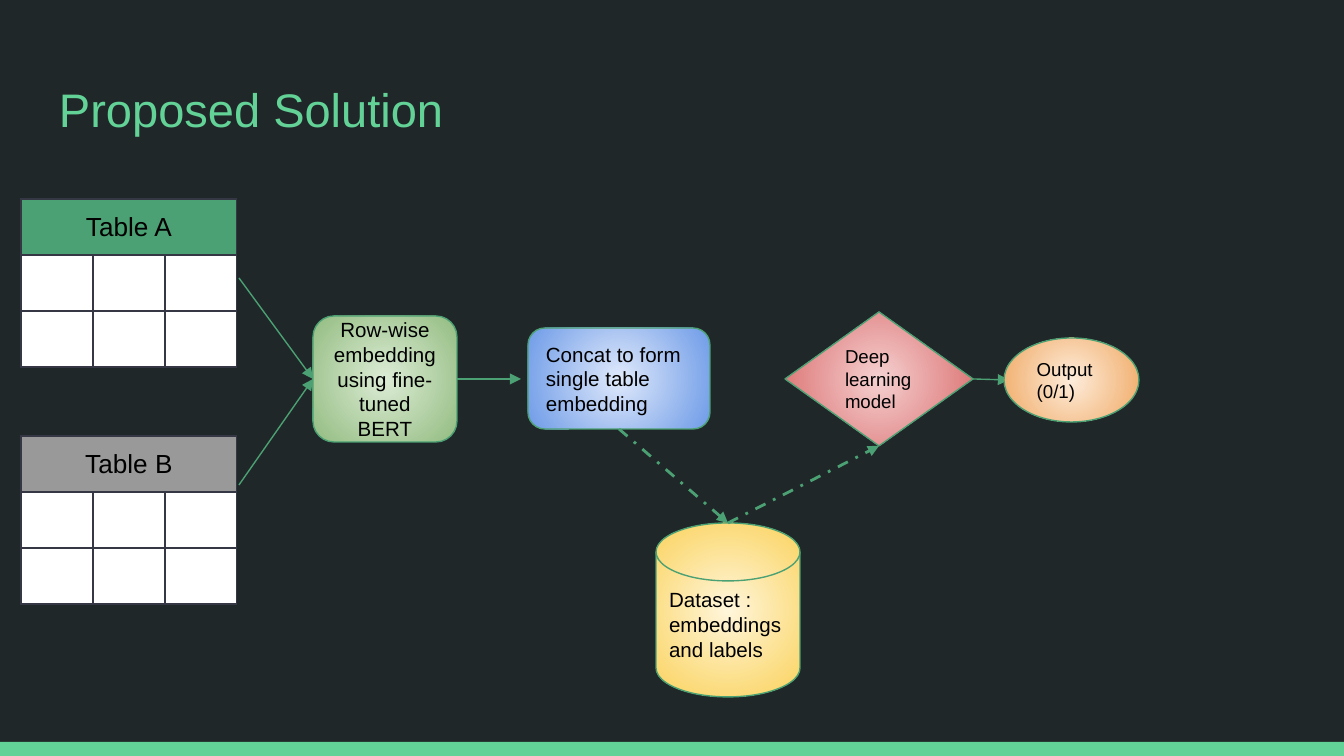
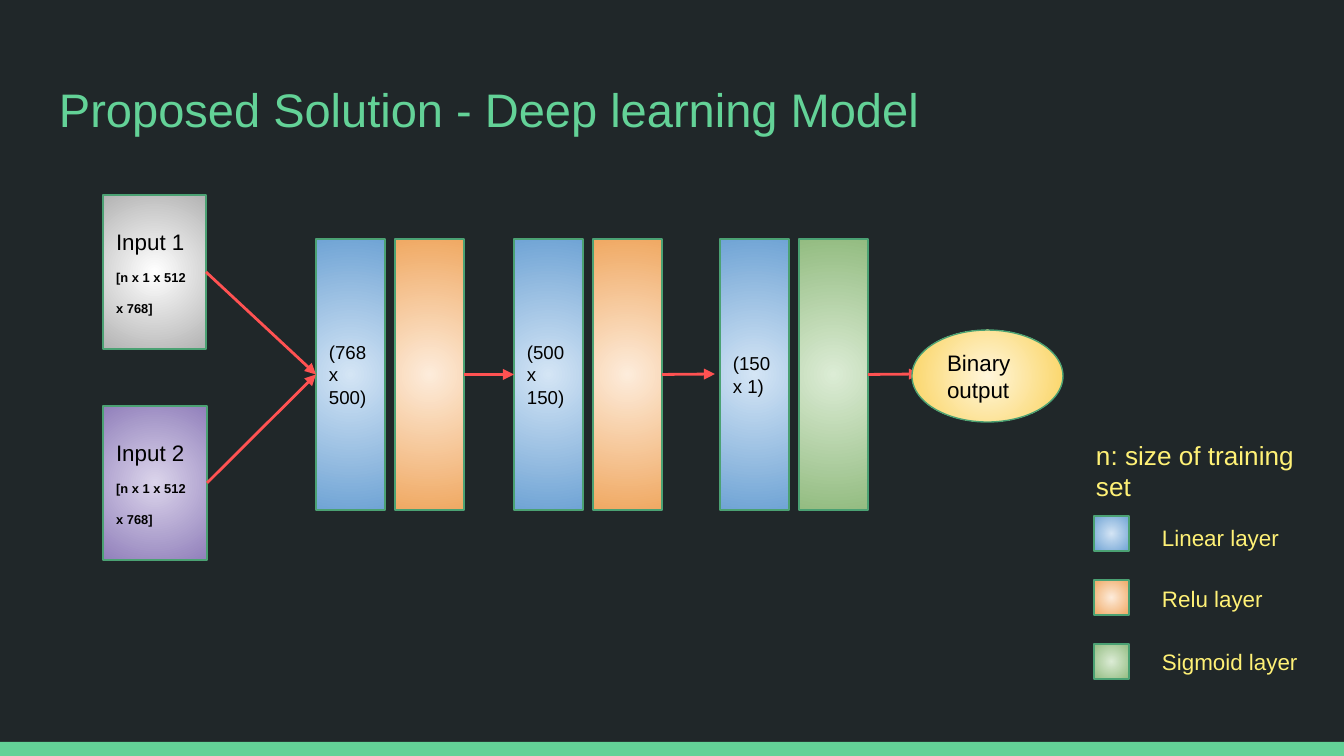
import lxml.etree
import pptx
import pptx.dml.color
import pptx.enum.dml
import pptx.enum.shapes
import pptx.enum.text
import pptx.oxml
import pptx.oxml.ns
import pptx.util

SHAPE = pptx.enum.shapes.MSO_SHAPE
ANCHOR = pptx.enum.text.MSO_ANCHOR
ALIGN = pptx.enum.text.PP_ALIGN
DASH_DOT = pptx.enum.dml.MSO_LINE.DASH_DOT
TOP, LEFT, BOTTOM, RIGHT = range(4)

# Shared look
FONT = "Arial"
BACKGROUND, ACCENT, OUTLINE, GRID = "202729", "63D297", "4BA173", "353744"
BLACK, WHITE, RED, YELLOW = "000000", "FFFFFF", "FF5252", "FFF176"
WIDTH, HEIGHT, BAND_TOP, INSET = 1344, 756, 742, 13

# Gradients: centre colour, edge colour
GREEN = ("DCECD5", "93BC81")
BLUE = ("DFE9FB", "6E9BE7")
SKY = ("D4E5F5", "70A4D5")
PINK = ("F5D0D0", "D96868")
ORANGE = ("FDECDB", "F0A963")
GOLD = ("FFF6DB", "FAD25C")
GREY = ("FFFFFF", "B3B3B3")
PURPLE = ("DBD4EB", "9180BB")

# Slide 1: input tables, pipeline steps and arrows
TABLES = [("Table A", 199, OUTLINE), ("Table B", 436, "999999")]
TABLE_LEFT, TABLE_CELL = 21, (72, 56)
STEPS = {
    "embed": (SHAPE.ROUNDED_RECTANGLE, (313, 316, 144, 126), GREEN,
              "Row-wise embedding using fine-tuned BERT", 11, ALIGN.CENTER),
    "concat": (SHAPE.FLOWCHART_ALTERNATE_PROCESS, (528, 328, 182, 101), BLUE,
               "Concat to form single table embedding", 11, ALIGN.LEFT),
    "model": (SHAPE.DIAMOND, (785, 312, 188, 134), PINK,
              "Deep learning model", 10, ALIGN.LEFT),
    "dataset": (SHAPE.FLOWCHART_MAGNETIC_DISK, (656, 523, 144, 174), GOLD,
                "Dataset : embeddings and labels", 11, ALIGN.LEFT),
}
STEP_ARROWS = [
    ((239, 278), ("embed", LEFT)),
    ((239, 485), ("embed", LEFT)),
    (("embed", RIGHT), (521, 379)),
    (("model", RIGHT), (1009, 380)),
]
DATASET_TOP = (728, 523)
DATA_ARROWS = [(("concat", BOTTOM), DATASET_TOP), (DATASET_TOP, ("model", BOTTOM))]
STEP_OUTPUT = (1004, 338, 135, 84)

# Slide 2: inputs, layer pairs, arrows and legend
INPUTS = [("Input 1", (103, 195, 103, 154), GREY), ("Input 2", (103, 406, 104, 154), PURPLE)]
INPUT_SIZE = "[n x 1 x 512 x 768]"
PAIRS = [(316, "(768 x 500)", ORANGE), (514, "(500 x 150)", ORANGE), (720, "(150 x 1)", GREEN)]
LAYER_TOP, LAYER_WIDTH, LAYER_HEIGHT, LAYER_STEP = 239, 69, 271, 79
LAYER_ARROWS = [
    (("Input 1", RIGHT), ("linear 0", LEFT)),
    (("Input 2", RIGHT), ("linear 0", LEFT)),
    (("active 0", RIGHT), ("linear 1", LEFT)),
    (("active 1", RIGHT), (715, 374)),
    (("active 2", RIGHT), (920, 374)),
]
BINARY_OUTPUT = (912, 330, 151, 92)
NOTE = ("n: size of training set", (1083, 426, 226, 90))
LEGEND = [("Linear layer", SKY, 511), ("Relu layer", ORANGE, 572), ("Sigmoid layer", GREEN, 635)]
SWATCH_LEFT, SWATCH_TOP, SWATCH_STEP, SWATCH_SIDE = 1094, 516, 64, 35


def px(length):
    return round(length * 914400 / 134.4)


def color(value):
    return pptx.dml.color.RGBColor.from_string(value)


def write(frame, text, size=12, fill=BLACK, align=ALIGN.LEFT, anchor=ANCHOR.TOP, subscript=None):
    """Each line of text is a paragraph; subscript adds a bold lowered one."""
    frame.word_wrap = True
    frame.vertical_anchor = anchor
    frame.margin_left = frame.margin_right = px(INSET)
    frame.margin_top = frame.margin_bottom = px(INSET)
    lines = text.split("\n") + ([subscript] if subscript else [])
    for i, line in enumerate(lines):
        paragraph = frame.paragraphs[0] if i == 0 else frame.add_paragraph()
        paragraph.alignment = align
        run = paragraph.add_run()
        run.text = line
        run.font.name, run.font.size = FONT, pptx.util.Pt(size)
        run.font.color.rgb = color(fill)
        if line == subscript:
            run.font.bold = True
            run._r.get_or_add_rPr().set("baseline", "-25000")


def add_text(slide, text, box, **style):
    write(slide.shapes.add_textbox(*map(px, box)).text_frame, text, **style)


def add_box(slide, kind, box, gradient, text="", **style):
    shape = slide.shapes.add_shape(kind, *map(px, box))
    shape.shadow.inherit = False
    shape.line.color.rgb = color(OUTLINE)
    shape.line.width = pptx.util.Pt(0.75)
    shape.fill.gradient()
    for stop, value in zip(shape.fill.gradient_stops, gradient):
        stop.color.rgb = color(value)
    # Turn the linear gradient into a radial one
    linear = shape._element.spPr.find(".//" + pptx.oxml.ns.qn("a:lin"))
    linear.getparent().replace(linear, pptx.oxml.parse_xml(
        f'<a:path {pptx.oxml.ns.nsdecls("a")} path="circle">'
        '<a:fillToRect l="50000" t="50000" r="50000" b="50000"/></a:path>'))
    if text:
        write(shape.text_frame, text, anchor=ANCHOR.MIDDLE, **style)
    return shape


def add_arrow(slide, parts, start, end, stroke=OUTLINE, width=0.75, dash=None):
    """An end is either a point or (part name, side)."""
    joined = [isinstance(place[0], str) for place in (start, end)]
    begin_xy = (0, 0) if joined[0] else start
    end_xy = (0, 0) if joined[1] else end
    arrow = slide.shapes.add_connector(
        pptx.enum.shapes.MSO_CONNECTOR.STRAIGHT, *map(px, begin_xy + end_xy))
    if joined[0]:
        arrow.begin_connect(parts[start[0]], start[1])
    if joined[1]:
        arrow.end_connect(parts[end[0]], end[1])
    arrow.line.color.rgb = color(stroke)
    arrow.line.width = pptx.util.Pt(width)
    if dash:
        arrow.line.dash_style = dash
    qn = pptx.oxml.ns.qn
    lxml.etree.SubElement(arrow.line._get_or_add_ln(), qn("a:tailEnd"), type="triangle")
    lxml.etree.SubElement(arrow._element.spPr, qn("a:effectLst"))


def add_input_table(slide, name, top, header_fill):
    cell_width, cell_height = TABLE_CELL
    table = slide.shapes.add_table(
        3, 3, px(TABLE_LEFT), px(top), px(3 * cell_width), px(3 * cell_height)).table
    table.first_row = table.horz_banding = False
    for r in range(3):
        for c in range(3):
            cell = table.cell(r, c)
            cell.margin_top = cell.margin_bottom = 0
            cell.vertical_anchor = ANCHOR.MIDDLE
            cell.fill.solid()
            cell.fill.fore_color.rgb = color(WHITE if r else header_fill)
            for i, side in enumerate(("lnL", "lnR", "lnT", "lnB")):
                cell._tc.get_or_add_tcPr().insert(i, pptx.oxml.parse_xml(
                    f'<a:{side} {pptx.oxml.ns.nsdecls("a")} w="9525"><a:solidFill>'
                    f'<a:srgbClr val="{GRID}"/></a:solidFill></a:{side}>'))
    header = table.cell(0, 0)
    header.merge(table.cell(0, 2))
    paragraph = header.text_frame.paragraphs[0]
    paragraph.alignment = ALIGN.CENTER
    run = paragraph.add_run()
    run.text = name
    run.font.name, run.font.size = FONT, pptx.util.Pt(14)
    run.font.color.rgb = color(BLACK)


def add_slide(deck, title):
    slide = deck.slides.add_slide(deck.slide_layouts[6])
    slide.background.fill.solid()
    slide.background.fill.fore_color.rgb = color(BACKGROUND)
    band = slide.shapes.add_shape(
        SHAPE.RECTANGLE, 0, px(BAND_TOP), px(WIDTH), px(HEIGHT - BAND_TOP))
    band.shadow.inherit = False
    band.fill.solid()
    band.fill.fore_color.rgb = color(ACCENT)
    band.line.fill.background()
    add_text(slide, title, (46, 66, 1252, 84), size=25.2, fill=ACCENT, anchor=ANCHOR.BOTTOM)
    return slide


def build_solution(deck):
    slide = add_slide(deck, "Proposed Solution")
    for table in TABLES:
        add_input_table(slide, *table)
    parts = {}
    for name, (kind, box, gradient, text, size, align) in STEPS.items():
        parts[name] = add_box(slide, kind, box, gradient, text, size=size, align=align)
    for start, end in STEP_ARROWS:
        add_arrow(slide, parts, start, end)
    for start, end in DATA_ARROWS:
        add_arrow(slide, parts, start, end, width=1.5, dash=DASH_DOT)
    add_box(slide, SHAPE.OVAL, STEP_OUTPUT, ORANGE, "Output\n(0/1)", size=10)


def build_model(deck):
    slide = add_slide(deck, "Proposed Solution - Deep learning Model")
    parts = {}
    for name, box, gradient in INPUTS:
        parts[name] = add_box(slide, SHAPE.RECTANGLE, box, gradient, name, subscript=INPUT_SIZE)
    # Each pair is a linear layer and its activation
    for i, (left, dimensions, activation) in enumerate(PAIRS):
        box = (left, LAYER_TOP, LAYER_WIDTH, LAYER_HEIGHT)
        parts[f"linear {i}"] = add_box(slide, SHAPE.RECTANGLE, box, SKY, dimensions, size=10)
        box = (left + LAYER_STEP, *box[1:])
        parts[f"active {i}"] = add_box(slide, SHAPE.RECTANGLE, box, activation)
    for start, end in LAYER_ARROWS:
        add_arrow(slide, parts, start, end, stroke=RED, width=1.5)
    add_box(slide, SHAPE.OVAL, BINARY_OUTPUT, GOLD, "Binary output")
    # Legend
    add_text(slide, *NOTE, size=14, fill=YELLOW)
    for i, (label, gradient, label_top) in enumerate(LEGEND):
        swatch_top = SWATCH_TOP + i * SWATCH_STEP
        add_box(slide, SHAPE.RECTANGLE, (SWATCH_LEFT, swatch_top, SWATCH_SIDE, SWATCH_SIDE), gradient)
        add_text(slide, label, (1149, label_top, 169, 54), fill=YELLOW)


def main():
    deck = pptx.Presentation()
    deck.slide_width, deck.slide_height = px(WIDTH), px(HEIGHT)
    build_solution(deck)
    build_model(deck)
    deck.save("out.pptx")


if __name__ == "__main__":
    main()
